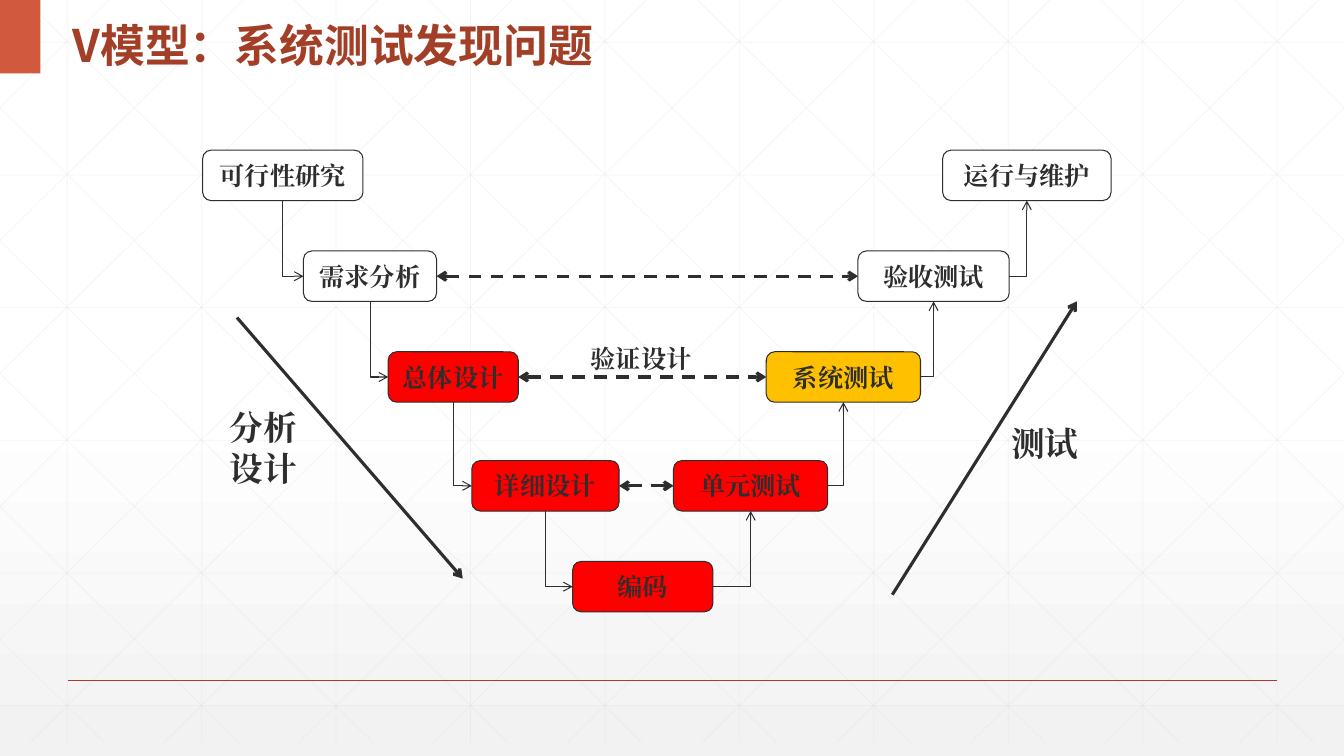
from copy import deepcopy
from dataclasses import dataclass
from typing import NamedTuple

from pptx import Presentation
from pptx.dml.color import RGBColor as RGB
from pptx.enum.shapes import MSO_CONNECTOR as CONN, MSO_SHAPE as SHAPE
from pptx.enum.dml import MSO_LINE as DASH
from pptx.enum.text import MSO_ANCHOR as ANCHOR, PP_ALIGN as ALIGN
from pptx.oxml.ns import qn
from pptx.oxml.xmlchemy import OxmlElement
from pptx.util import Inches, Pt


@dataclass(frozen=True)
class Theme:
    """Colours, fonts and type sizes of the slide."""
    ink: str = "2D2E2D"
    title: str = "A43F27"
    accent: str = "D15A3E"
    grid: str = "D9D9D9"
    white: str = "FFFFFF"
    shade: str = "F2F2F2"
    red: str = "FF0000"
    amber: str = "FFC000"
    title_font: str = "Noto Sans CJK SC"
    body_font: str = "Times New Roman"
    title_size: int = 32
    side_size: int = 24
    body_size: int = 18


class Point(NamedTuple):
    """A place on the slide in inches."""
    x: float
    y: float


@dataclass(frozen=True)
class Stage:
    """One rounded box of the V."""
    text: str
    x: float
    y: float
    w: float
    fill: str
    h: float = 0.5

    @property
    def left(self) -> Point:
        return Point(self.x, self.y + self.h / 2)

    @property
    def right(self) -> Point:
        return Point(self.x + self.w, self.y + self.h / 2)

    @property
    def bottom(self) -> Point:
        return Point(self.x + self.w / 2, self.y + self.h)


@dataclass(frozen=True)
class Label:
    """A free text label, one paragraph per line."""
    lines: tuple
    x: float
    y: float
    w: float
    h: float
    size: int


T = Theme()
WIDTH, HEIGHT, GRID_END = 13.33, 7.5, 7.37
GRID_STEP, ROW_STEP, DIAGONAL_RUN = 4 / 3, 1.316, 7.455

DESIGN = [
    Stage("可行性研究", 2.01, 1.49, 1.59, T.white),
    Stage("需求分析", 3.01, 2.49, 1.32, T.white),
    Stage("总体设计", 3.85, 3.49, 1.29, T.red),
    Stage("详细设计", 4.68, 4.57, 1.46, T.red),
]
CODING = Stage("编码", 5.68, 5.57, 1.39, T.red)
TESTING = [
    Stage("运行与维护", 9.35, 1.49, 1.67, T.white),
    Stage("验收测试", 8.51, 2.49, 1.5, T.white),
    Stage("系统测试", 7.6, 3.49, 1.53, T.amber),
    Stage("单元测试", 6.68, 4.57, 1.53, T.red),
]
LABELS = [
    Label(("分析", "设计"), 2.18, 3.99, 1.25, 1.08, T.side_size),
    Label(("测试",), 9.93, 4.15, 1, 0.67, T.side_size),
    Label(("验证设计",), 5.76, 3.36, 1.33, 0.38, T.body_size),
]
SWEEPS = [(Point(2.35, 3.15), Point(4.59, 5.74)),
          (Point(8.85, 5.9), Point(10.68, 2.99))]


def add_run(p, text: str, size: int, font: str, color: str) -> None:
    """Add one bold run with the same Latin and East Asian font."""
    r = p.add_run()
    r.text = text
    f = r.font
    f.size, f.bold, f.name = Pt(size), True, font
    f.color.rgb = RGB.from_string(color)
    ea = OxmlElement("a:ea")
    ea.set("typeface", font)
    r._r.rPr.find(qn("a:latin")).addnext(ea)


def add_line(slide, a: Point, b: Point, color: str, width: float,
             kind=CONN.STRAIGHT, ends: tuple = ()):
    """Draw a connector with arrowheads at the named ends."""
    s = slide.shapes.add_connector(kind, *map(Inches, (*a, *b)))
    s.line.color.rgb = RGB.from_string(color)
    s.line.width = Pt(width)
    ln = s.line._get_or_add_ln()
    for end in ends:
        head = OxmlElement(f"a:{end}")
        head.set("type", "arrow")
        ln.append(head)
    s.element.spPr.append(OxmlElement("a:effectLst"))
    return s


def add_bend(slide, a: Point, b: Point, down_first: bool) -> None:
    """Draw a one-corner arrow, down then right or right then up."""
    if down_first:
        cx, cy = (a.x + b.x) / 2, (a.y + b.y) / 2
        dx, dy = (b.x - a.x) / 2, (b.y - a.y) / 2
        a, b = Point(cx + dy, cy - dx), Point(cx - dy, cy + dx)
    s = add_line(slide, a, b, T.ink, 0.75, CONN.ELBOW, ("tailEnd",))
    s.element.spPr.find(qn("a:prstGeom")).set("prst", "bentConnector2")
    if down_first:
        s.element.spPr.find(qn("a:xfrm")).set("rot", str(270 * 60000))


def add_grid_line(slide, a: Point, b: Point) -> None:
    """Draw one faint line of the background grid."""
    s = add_line(slide, a, b, T.grid, 0.5)
    alpha = OxmlElement("a:alpha")
    alpha.set("val", "25000")
    s.line._get_or_add_ln().find(".//" + qn("a:srgbClr")).append(alpha)


def add_background(slide) -> None:
    """Set the gradient and draw the grid with its diagonals."""
    fill = slide.background.fill
    fill.gradient()
    fill.gradient_angle = 270
    stops = slide.element.find(".//" + qn("a:gsLst"))
    stops.append(deepcopy(stops[0]))
    for stop, (pos, color) in zip(fill.gradient_stops, (
            (0, T.white), (0.53, T.white), (1, T.shade))):
        stop.position = pos
        stop.color.rgb = RGB.from_string(color)
    for i in range(10):
        x = GRID_STEP * (i + 0.5)
        add_grid_line(slide, Point(x, 0), Point(x, GRID_END))
    for i in range(6):
        y = 0.42 + ROW_STEP * i
        add_grid_line(slide, Point(0, y), Point(WIDTH, y))
    slope = GRID_END / DIAGONAL_RUN
    for i in range(-5, 10):
        x = 0.25 + GRID_STEP * i
        x1, x2 = max(x, 0), min(x + DIAGONAL_RUN, WIDTH)
        y1, y2 = (x1 - x) * slope, (x2 - x) * slope
        add_grid_line(slide, Point(x1, y1), Point(x2, y2))
        add_grid_line(slide, Point(WIDTH - x1, y1), Point(WIDTH - x2, y2))


def add_box(slide, kind, x: float, y: float, w: float, h: float, fill: str):
    """Add a filled preset shape without outline or shadow."""
    s = slide.shapes.add_shape(kind, *map(Inches, (x, y, w, h)))
    s.shadow.inherit = False
    s.fill.solid()
    s.fill.fore_color.rgb = RGB.from_string(fill)
    s.line.fill.background()
    return s


def add_stage(slide, stage: Stage) -> None:
    """Draw one stage of the V with its centred name."""
    s = add_box(slide, SHAPE.ROUNDED_RECTANGLE, stage.x, stage.y, stage.w, stage.h, stage.fill)
    s.line.color.rgb = RGB.from_string(T.ink)
    s.line.width = Pt(0.75)
    s.text_frame.vertical_anchor = ANCHOR.MIDDLE
    p = s.text_frame.paragraphs[0]
    p.alignment = ALIGN.CENTER
    add_run(p, stage.text, T.body_size, T.body_font, T.ink)


def add_text(slide, label: Label, font: str, color: str):
    """Add a wrapping text box and return its frame."""
    sp = slide.shapes.add_textbox(*map(Inches, (label.x, label.y, label.w, label.h)))
    tf = sp.text_frame
    tf.word_wrap = True
    for i, line in enumerate(label.lines):
        p = tf.add_paragraph() if i else tf.paragraphs[0]
        add_run(p, line, label.size, font, color)
    return tf


def main() -> None:
    """Build the V-model slide."""
    prs = Presentation()
    prs.slide_width, prs.slide_height = Inches(WIDTH), Inches(HEIGHT)
    slide = prs.slides.add_slide(prs.slide_layouts[6])
    add_background(slide)
    add_line(slide, Point(0.67, 6.75), Point(12.67, 6.75), T.title, 1)
    add_box(slide, SHAPE.RECTANGLE, 0, 0, 0.4, 0.73, T.accent)
    title = Label(("V模型：系统测试发现问题",), 0.62, 0, 8.5, 0.73, T.title_size)
    tf = add_text(slide, title, T.title_font, T.title)
    tf.vertical_anchor = ANCHOR.MIDDLE
    tf.paragraphs[0].line_spacing = 1.3
    for stage in (*DESIGN, CODING, *TESTING):
        add_stage(slide, stage)
    for a, b in zip(DESIGN, (*DESIGN[1:], CODING)):
        add_bend(slide, a.bottom, b.left, True)
    for a, b in zip((*TESTING[1:], CODING), TESTING):
        add_bend(slide, a.right, b.bottom, False)
    for a, b in zip(DESIGN[1:], TESTING[1:]):
        s = add_line(slide, a.right, b.left, T.ink, 2.25, ends=("headEnd", "tailEnd"))
        s.line.dash_style = DASH.DASH
    for a, b in SWEEPS:
        add_line(slide, a, b, T.ink, 2.25, ends=("tailEnd",))
    for label in LABELS:
        add_text(slide, label, T.body_font, T.ink)
    prs.save("out.pptx")


if __name__ == "__main__":
    main()
